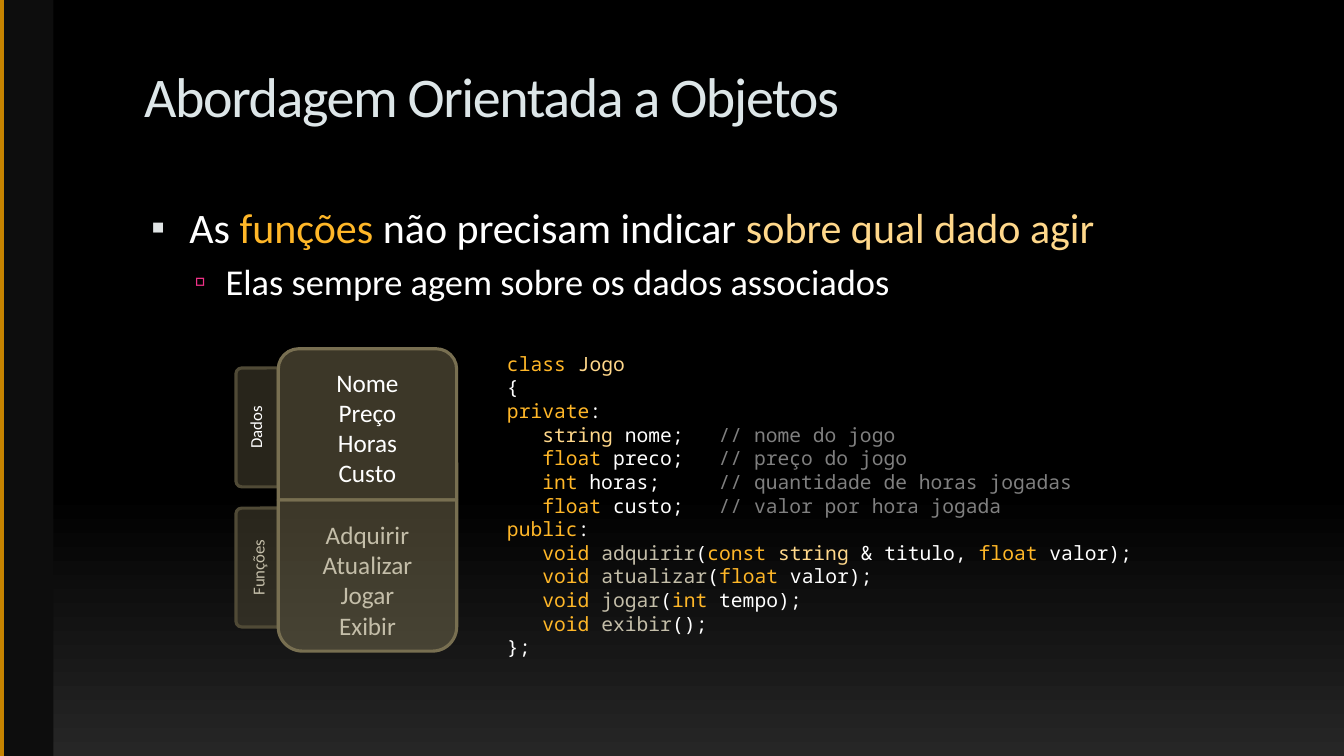
import pptx
import pptx.util
import pptx.dml.color
import pptx.enum.shapes
import pptx.enum.text
import pptx.oxml
import pptx.oxml.ns

Inches = pptx.util.Inches
Pt = pptx.util.Pt
ALIGN = pptx.enum.text.PP_ALIGN
ANCHOR = pptx.enum.text.MSO_ANCHOR
SHAPE = pptx.enum.shapes.MSO_SHAPE
FONT, MONO = "Calibri", "Noto Sans Mono"
WHITE, GOLD, PALE, SAND, GRAY = "FFFFFF", "FFB728", "FFD88B", "C4BEA9", "808080"
DARK, EARTH = "504A36", "786F51"

BODY = [
    [("As ", WHITE), ("funções", GOLD), (" não precisam indicar ", WHITE),
     ("sobre qual dado agir", PALE)],
    [("Elas sempre agem sobre os dados associados", WHITE)],
]


def field(kind, name, note, color=GOLD):
    return [("\t", WHITE), (kind, color), (f" {name};\t", WHITE), (f"// {note}", GRAY)]


def method(name, *args):
    return [("\tvoid ", GOLD), (name, SAND), ("(", WHITE), *args]


CODE = [
    [("class ", GOLD), ("Jogo", PALE)],
    [("{", WHITE)],
    [("private", GOLD), (":", WHITE)],
    field("string", "nome", "nome do jogo", PALE),
    field("float", "preco", "preço do jogo"),
    field("int", "horas", "quantidade de horas jogadas"),
    field("float", "custo", "valor por hora jogada"),
    [("public", GOLD), (":", WHITE)],
    method("adquirir", ("const ", GOLD), ("string ", PALE), ("& titulo, ", WHITE),
           ("float", GOLD), (" valor);", WHITE)),
    method("atualizar", ("float", GOLD), (" valor);", WHITE)),
    method("jogar", ("int", GOLD), (" tempo);", WHITE)),
    method("exibir", ("();"[1:], WHITE)),
    [("};", WHITE)],
]


def rgb(color):
    return pptx.dml.color.RGBColor.from_string(color)


def style(run, size, color, font=FONT):
    run.font.size = Pt(size)
    run.font.name = font
    run.font.color.rgb = rgb(color)


def node(home, tag, **attrs):
    child = pptx.oxml.parse_xml(f"<a:{tag} {pptx.oxml.ns.nsdecls('a')}/>")
    for key, value in attrs.items():
        child.set(key, str(value))
    home.append(child)
    return child


def frame(slide, left, top, width, height):
    box = slide.shapes.add_textbox(Inches(left), Inches(top), Inches(width), Inches(height))
    box.text_frame.word_wrap = True
    return box.text_frame


def write(text, lines, sizes, font):
    for num, (line, size) in enumerate(zip(lines, sizes)):
        para = text.add_paragraph() if num else text.paragraphs[0]
        for words, color in line:
            run = para.add_run()
            run.text = words
            style(run, size, color, font)


def bullet(para, left, hang, mark, color, size):
    props = para._p.get_or_add_pPr()
    props.set("marL", str(Inches(left)))
    props.set("indent", str(Inches(hang)))
    node(node(props, "buClr"), "srgbClr", val=color)
    node(props, "buSzPct", val=size * 1000)
    node(props, "buFont", typeface="Arial")
    node(props, "buChar", char=mark)


def stops(para, places):
    tabs = node(para._p.get_or_add_pPr(), "tabLst")
    for place in places:
        node(tabs, "tab", pos=Inches(place), algn="l")


def panel(group, spot, ends, tint, words, size, color, pads=(0, 0, 0, 0), turn=0):
    shape = group.shapes.add_shape(SHAPE.ROUND_2_SAME_RECTANGLE, *map(Inches, spot))
    shape.rotation = turn
    shape.shadow.inherit = False
    for num, end in enumerate(ends):
        shape.adjustments[num] = end
    shape.fill.solid()
    shape.fill.fore_color.rgb = rgb(tint)
    fill = shape._element.spPr.find(pptx.oxml.ns.qn("a:solidFill"))
    node(fill[0], "alpha", val=50000)
    shape.line.color.rgb = rgb(tint)
    shape.line.width = Pt(2.25)
    text = shape.text_frame
    text.word_wrap = True
    text.vertical_anchor = ANCHOR.MIDDLE
    text.margin_left, text.margin_top, text.margin_right, text.margin_bottom = map(Inches, pads)
    text.text = words
    for para in text.paragraphs:
        para.alignment = ALIGN.CENTER
        style(para.runs[0], size, color)


def back(slide):
    fill = slide.background.fill
    fill.gradient()
    fill.gradient_angle = 270
    for stop, place, color in zip(fill.gradient_stops, (0.65, 1), ("000000", "262626")):
        stop.position = place
        stop.color.rgb = rgb(color)


def edge(slide):
    band = slide.shapes.add_shape(SHAPE.RECTANGLE, 0, 0, Inches(0.53), Inches(7.5))
    band.shadow.inherit = False
    band.fill.solid()
    band.fill.fore_color.rgb = rgb("0D0D0D")
    band.line.fill.background()
    kind = pptx.enum.shapes.MSO_CONNECTOR.STRAIGHT
    line = slide.shapes.add_connector(kind, Inches(0.02), 0, Inches(0.02), Inches(7.5))
    line.line.color.rgb = rgb("C58300")
    line.line.width = Pt(3)
    node(line._element.spPr, "effectLst")


def head(slide, words):
    title = slide.shapes.title
    title.left, title.top, title.width, title.height = map(Inches, (1.33, 0.56, 9.51, 1))
    text = title.text_frame
    text.text = words
    text.vertical_anchor = ANCHOR.TOP
    para = text.paragraphs[0]
    para.alignment = ALIGN.LEFT
    style(para.runs[0], 40, "DDE6E8")
    para.runs[0]._r.get_or_add_rPr().set("spc", "-100")


def body(slide):
    text = frame(slide, 1.33, 1.95, 11.33, 1.2)
    write(text, BODY, (30, 26), FONT)
    first, second = text.paragraphs
    first.space_before = Pt(7)
    second.space_before = Pt(5.2)
    second.level = 1
    bullet(first, 0.45, -0.38, "▪", "E0E4E5", 95)
    bullet(second, 0.81, -0.31, "▫", "F03288", 90)


def code(slide):
    text = frame(slide, 4.93, 3.44, 6.91, 3.16)
    write(text, CODE, [14] * len(CODE), MONO)
    for para in text.paragraphs:
        para.line_spacing = Pt(16.87)
        stops(para, (0.35, 2.1))


def model(slide):
    group = slide.shapes.add_group_shape()
    tab = (0.136, 0)
    panel(group, (1.96, 4.03, 1.18, 0.42), tab, DARK, "Dados", 12, WHITE,
          (0.1, 0, 0.1, 0.05), 270)
    panel(group, (1.96, 5.42, 1.18, 0.42), tab, DARK, "Funções", 12, SAND, turn=270)
    panel(group, (2.76, 3.46, 1.77, 1.5), tab, EARTH,
          "Nome\nPreço\nHoras\nCusto", 18, WHITE)
    panel(group, (2.76, 4.96, 1.77, 1.5), (0, 0.16), EARTH,
          "Adquirir\nAtualizar\nJogar\nExibir", 18, SAND, (0.1, 0.2, 0.1, 0.05))


def main():
    deck = pptx.Presentation()
    deck.slide_width, deck.slide_height = Inches(13.33), Inches(7.5)
    slide = deck.slides.add_slide(deck.slide_layouts[5])
    back(slide)
    edge(slide)
    head(slide, "Abordagem Orientada a Objetos")
    body(slide)
    code(slide)
    model(slide)
    deck.save("out.pptx")


if __name__ == "__main__":
    main()
